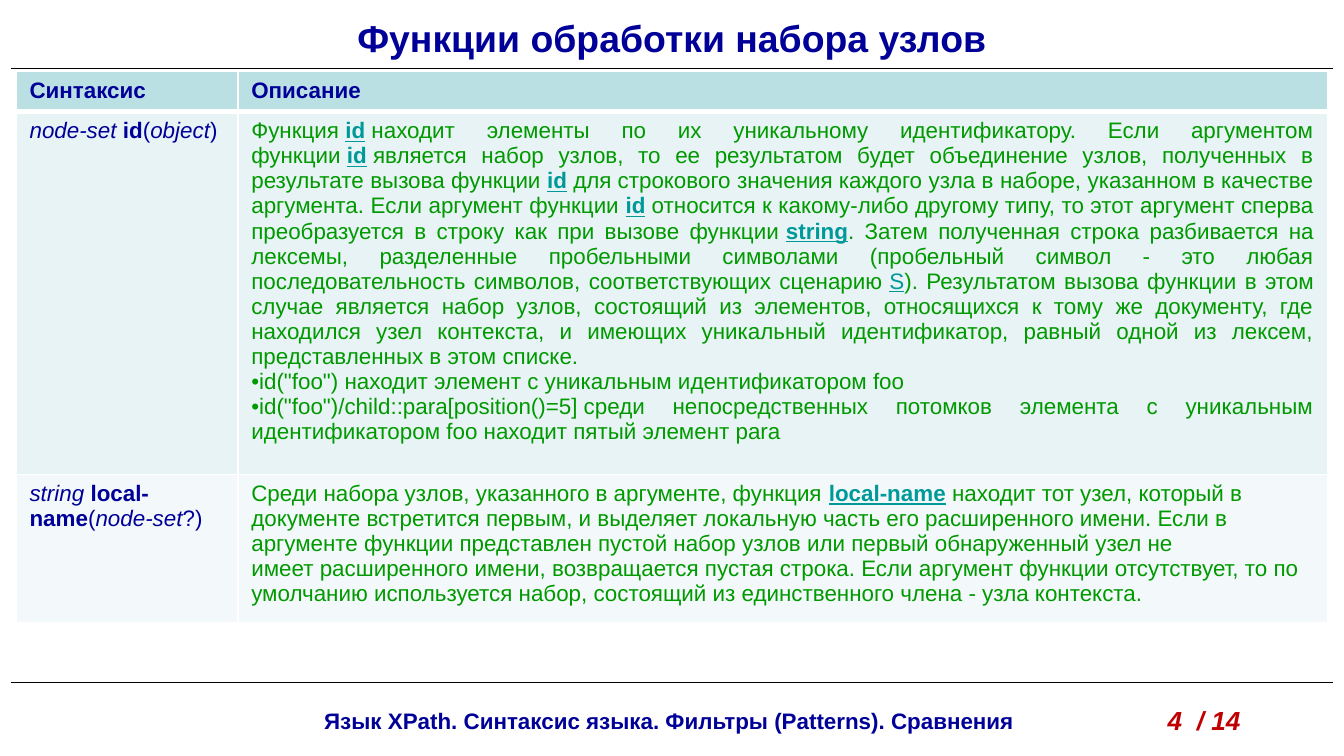
from lxml import etree
from pptx import Presentation
from pptx.dml.color import RGBColor
from pptx.enum.shapes import MSO_CONNECTOR as Connector
from pptx.enum.text import MSO_ANCHOR as Anchor, PP_ALIGN as Align
from pptx.oxml.ns import qn
from pptx.util import Inches, Pt

NAVY, GREEN, TEAL, RED = "000099", "009900", "009999", "C00000"
HEADER_FILL, ROW_FILLS = "BBE0E3", ("E7F3F4", "F3F9FA")
NO_BREAK_SPACE = chr(160)  # typed as ~ in the texts below

# Each paragraph is a list of (text, style) runs: b bold, i italic, a link look
HEADERS = ("Синтаксис", "Описание")
FUNCTIONS = [
    (
        [("node-set~", "i"), ("id", "b"), ("(", ""), ("object", "i"), (")", "")],
        [
            [
                ("Функция~", ""), ("id", "ab"),
                ("~находит элементы по их уникальному идентификатору. "
                 "Если аргументом функции~", ""), ("id", "ab"),
                ("~является набор узлов, то ее результатом будет объединение узлов, "
                 "полученных в результате вызова функции~", ""), ("id", "ab"),
                ("~для~строкового значения~каждого узла в наборе, указанном в качестве "
                 "аргумента. Если аргумент функции~", ""), ("id", "ab"),
                ("~относится к какому-либо другому типу, то этот аргумент сперва "
                 "преобразуется в строку как при вызове функции~", ""), ("string", "ab"),
                (". Затем полученная строка разбивается на лексемы, разделенные "
                 "пробельными символами (пробельный символ - это любая "
                 "последовательность символов, соответствующих сценарию~", ""), ("S", "a"),
                ("). Результатом вызова функции в этом случае является набор узлов, "
                 "состоящий из элементов, относящихся к тому же документу, где находился "
                 "узел контекста, и имеющих уникальный идентификатор, равный одной из "
                 "лексем, представленных в этом списке.", ""),
            ],
            [('id("foo")~находит элемент с уникальным идентификатором~foo', "")],
            [('id("foo")/child::para[position()=5]~среди непосредственных потомков '
              "элемента с уникальным идентификатором~foo~находит пятый элемент~para", "")],
        ],
    ),
    (
        [("string~", "i"), ("local-name", "b"), ("(", ""), ("node-set", "i"), ("?)", "")],
        [
            [
                ("Среди набора узлов, указанного в аргументе, функция~", ""),
                ("local-name", "ab"),
                ("~находит тот узел, который~в документе встретится первым, и выделяет "
                 "локальную часть его~расширенного имени. Если в аргументе функции "
                 "представлен пустой набор узлов или первый обнаруженный узел не "
                 "имеет~расширенного имени, возвращается пустая строка. Если аргумент "
                 "функции отсутствует, то по умолчанию используется набор, состоящий из "
                 "единственного члена - узла контекста.", ""),
            ],
        ],
    ),
]


def rgb(color):
    return RGBColor.from_string(color)


def format_run(r, size, color, style=""):
    font = r.font
    font.name, font.size = "Arial", Pt(size)
    font.bold, font.italic = "b" in style, "i" in style
    font.underline = "a" in style
    font.color.rgb = rgb(TEAL if "a" in style else color)


def place(sp, left, top, width, height):
    sp.left, sp.top = Inches(left), Inches(top)
    sp.width, sp.height = Inches(width), Inches(height)


def set_line_text(sp, text, size, color, style, align):
    tf = sp.text_frame
    tf.word_wrap = True
    tf.text = text
    p = tf.paragraphs[0]
    p.alignment = align
    format_run(p.runs[0], size, color, style)


def add_label(slide, box, text, size, color, style, align=Align.LEFT):
    sp = slide.shapes.add_textbox(*map(Inches, box))
    set_line_text(sp, text, size, color, style, align)


def add_rule(slide, y):
    line = slide.shapes.add_connector(
        Connector.STRAIGHT, Inches(0.08), Inches(y), Inches(9.92), Inches(y))
    line.line.color.rgb = rgb("000000")
    line.line.width = Pt(0.75)
    etree.SubElement(line._element.spPr, qn("a:effectLst"))


def set_borders(cell, top=1, bottom=1):
    tc_pr = cell._tc.get_or_add_tcPr()
    widths = {"lnL": 1, "lnR": 1, "lnT": top, "lnB": bottom}
    for i, (side, width) in enumerate(widths.items()):
        ln = etree.Element(qn(f"a:{side}"), w=str(Pt(width)))
        fill = etree.SubElement(ln, qn("a:solidFill"))
        etree.SubElement(fill, qn("a:srgbClr"), val="FFFFFF")
        tc_pr.insert(i, ln)


def add_bullet(p):
    p_pr = p._p.get_or_add_pPr()
    etree.SubElement(p_pr, qn("a:buFont"), typeface="Arial")
    etree.SubElement(p_pr, qn("a:buChar"), char="•")


def fill_cell(cell, paragraphs, color, fill, align=Align.LEFT, **borders):
    cell.fill.solid()
    cell.fill.fore_color.rgb = rgb(fill)
    set_borders(cell, **borders)
    tf = cell.text_frame
    for i, runs in enumerate(paragraphs):
        p = tf.add_paragraph() if i else tf.paragraphs[0]
        p.alignment = align
        # Paragraphs after the first are list items
        if i:
            add_bullet(p)
        for text, style in runs:
            r = p.add_run()
            r.text = text.replace("~", NO_BREAK_SPACE)
            format_run(r, 12, color, style)


def add_function_table(slide):
    frame = slide.shapes.add_table(
        3, 2, Inches(0.12), Inches(0.53), Inches(9.76), Inches(4.1))
    table = frame.table
    for column, width in zip(table.columns, (1.65, 8.11)):
        column.width = Inches(width)
    for row, height in zip(table.rows, (0.3, 2.7, 1.1)):
        row.height = Inches(height)

    for col, header in enumerate(HEADERS):
        fill_cell(table.cell(0, col), [[(header, "b")]], NAVY, HEADER_FILL, bottom=3)
    for row, (syntax, description) in enumerate(FUNCTIONS, 1):
        fill = ROW_FILLS[row - 1]
        top = 3 if row == 1 else 1
        align = Align.JUSTIFY if len(description) > 1 else Align.LEFT
        fill_cell(table.cell(row, 0), [syntax], NAVY, fill, top=top)
        fill_cell(table.cell(row, 1), description, GREEN, fill, align, top=top)


def main():
    prs = Presentation()
    # Widescreen, 16:9
    prs.slide_width, prs.slide_height = Inches(10), Inches(10) * 9 // 16
    slide = prs.slides.add_slide(prs.slide_layouts[5])

    # Title
    title = slide.shapes.title
    place(title, 0, 0.06, 10, 0.45)
    set_line_text(title, "Функции обработки набора узлов", 20, NAVY, "b", Align.CENTER)
    title.text_frame.vertical_anchor = Anchor.TOP

    # Rules and footer
    for y in (0.51, 5.08):
        add_rule(slide, y)
    add_label(slide, (1.25, 5.21, 7.46, 0.3),
              "Язык XPath. Синтаксис языка. Фильтры (Patterns). Сравнения",
              12, NAVY, "b", Align.CENTER)
    add_label(slide, (8.59, 5.19, 1.02, 0.34), "4  / 14", 14, RED, "bi")

    # Function reference
    add_function_table(slide)
    prs.save("out.pptx")


if __name__ == "__main__":
    main()
